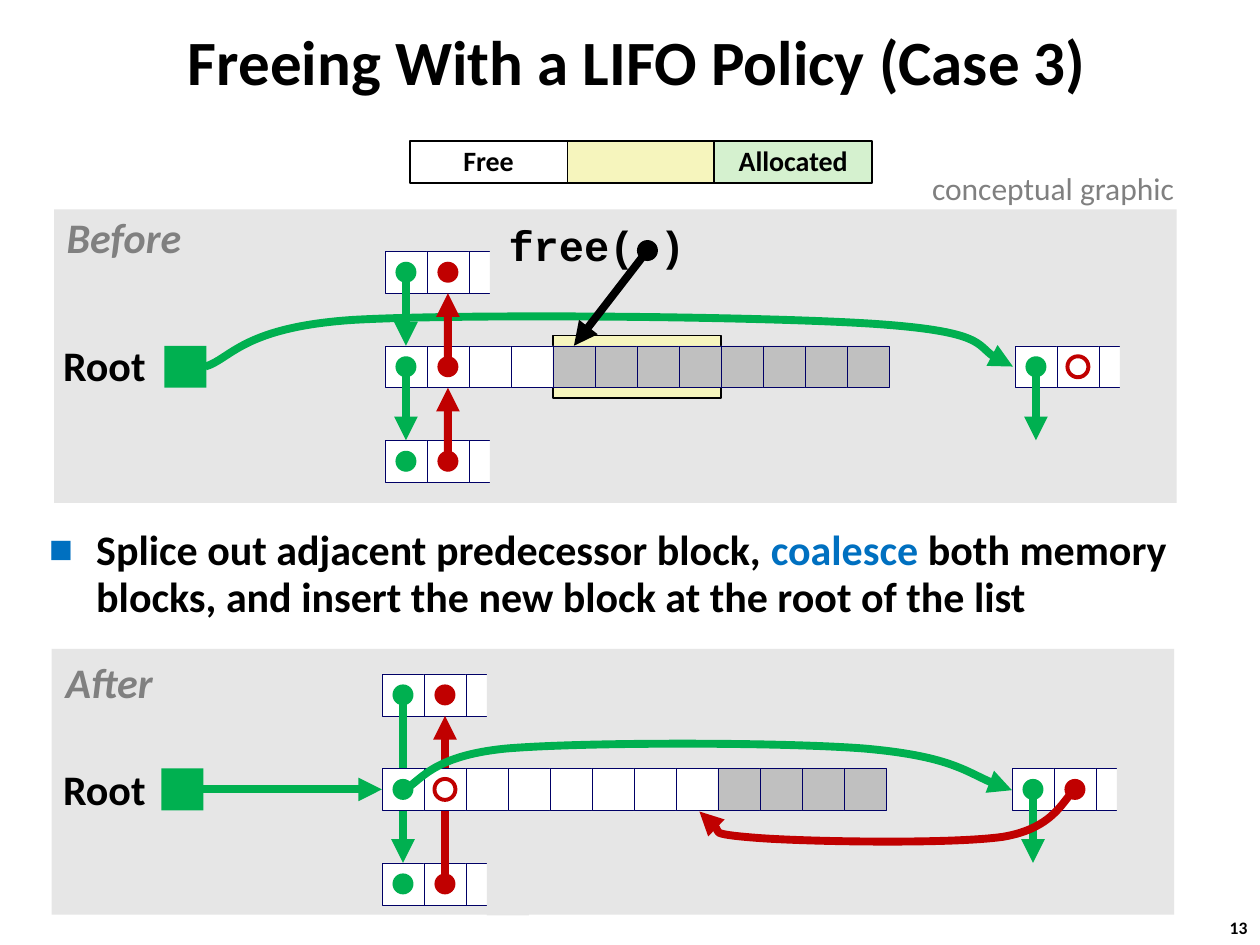
"""Build a slide on freeing a block with a LIFO free list, before and after."""
from lxml.etree import SubElement
from pptx import Presentation
from pptx.dml.color import RGBColor
from pptx.enum.shapes import MSO_CONNECTOR, MSO_SHAPE
from pptx.enum.text import MSO_ANCHOR, PP_ALIGN
from pptx.oxml.ns import qn
from pptx.util import Cm, Pt

hue = RGBColor.from_string
GREEN, RED, BLACK, WHITE = "00B050", "C00000", "000000", "FFFFFF"
GREY, PALE, BLUE, CREAM = "808080", "E6E6E6", "0070C0", "F6F5BD"
CELL = 2.54 / 3
STEP = CELL * 2.25

deck = Presentation()
deck.slide_width, deck.slide_height = Cm(25.4), Cm(19.05)
slide = deck.slides.add_slide(deck.slide_layouts[6])
shapes = slide.shapes


def box(x, y, w, h, fill=None, line=None, width=0.25, kind=MSO_SHAPE.RECTANGLE):
    shape = shapes.add_shape(kind, Cm(x), Cm(y), Cm(w), Cm(h))
    shape.shadow.inherit = False
    if fill:
        shape.fill.solid()
        shape.fill.fore_color.rgb = hue(fill)
    else:
        shape.fill.background()
    if line:
        shape.line.color.rgb = hue(line)
        shape.line.width = Pt(width)
    else:
        shape.line.fill.background()
    return shape


def text(shape, words, size=24, color=BLACK, accent=BLUE, bold=True, italic=False,
         font="Calibri", align=PP_ALIGN.CENTER, anchor=MSO_ANCHOR.TOP,
         space=0.9, pad=0.13, wrap=False):
    frame = shape.text_frame
    frame.word_wrap, frame.vertical_anchor = wrap, anchor
    frame.margin_left = frame.margin_right = Cm(pad)
    frame.margin_top = frame.margin_bottom = Cm(0.13)
    para = frame.paragraphs[0]
    para.alignment, para.line_spacing = align, space
    for i, part in enumerate(words.split("|")):
        run = para.add_run()
        run.text = part
        run.font.name, run.font.size = font, Pt(size)
        run.font.bold, run.font.italic = bold, italic
        run.font.color.rgb = hue(accent if i % 2 else color)
    return para


# Columns and rows count from the first cell of the middle strip.
before = [
    ("patch", CREAM, 4, 4),
    ("curve", GREEN, [(4.14, 7.39), (4.65, 7.24), (4.88, 6.6), (7.11, 6.45), (9.37, 6.32),
                      (15.39, 6.38), (17.63, 6.53), (19.84, 6.68), (19.84, 7.21), (20.42, 7.39)]),
    ("strip", 0, 0, 12, 4), ("strip", 0, -1, 3, 3), ("strip", 0, 1, 3, 3), ("strip", 15, 0, 3, 3),
    ("arrow", GREEN, 0, 0, 0, 1, 0), ("arrow", GREEN, 0, -1, 0, 0, 0),
    ("arrow", RED, 1, 1, 1, 0, 2), ("arrow", RED, 1, 0, 1, -1, 2),
    ("arrow", GREEN, 15, 0, 15, 1, 0), ("arrow", BLACK, 5.75, -1.23, 4, 0, 0),
    ("dot", GREEN, 0, 0), ("dot", GREEN, 0, -1), ("dot", GREEN, 0, 1), ("dot", GREEN, 15, 0),
    ("dot", RED, 1, 0), ("dot", RED, 1, -1), ("dot", RED, 1, 1),
    ("ring", RED, 16, 0), ("dot", BLACK, 5.75, -1.23),
]
after = [
    ("strip", 0, 1, 3, 3), ("strip", 0, -1, 3, 3),
    ("arrow", RED, 1, 1, 1, -1, 2), ("arrow", GREEN, 0, -1, 0, 1, 0),
    ("strip", 0, 0, 12, 8), ("strip", 15, 0, 3, 3),
    ("arrow", GREEN, 15, 0, 15, 1, 0), ("arrow", GREEN, -5.25, 0, 0, 0, 1),
    ("dot", GREEN, 0, 0), ("dot", GREEN, 0, -1), ("dot", GREEN, 0, 1), ("dot", GREEN, 15, 0),
    ("dot", RED, 1, -1), ("dot", RED, 1, 1), ("dot", RED, 16, 0), ("ring", RED, 1, 0),
    ("curve", GREEN, [(8.13, 15.93), (8.48, 15.77), (8.66, 15.24), (10.21, 15.09), (11.76, 14.96),
                      (15.72, 14.96), (17.42, 15.09), (19.13, 15.24), (19.79, 15.75), (20.4, 15.93)]),
    ("curve", RED, [(21.67, 15.93), (21.44, 16.08), (21.29, 16.69), (20.22, 16.87), (19.15, 17.02),
                    (16.26, 16.97), (15.24, 16.89), (14.22, 16.81), (14.33, 16.48), (14.1, 16.36)]),
]

for left, top, tall, x0, y0, items in [(1.09, 4.22, 5.92, 7.76, 6.97, before),
                                       (1.04, 13.08, 5.36, 7.7, 15.49, after)]:
    box(left, top, 22.63, tall, PALE)
    box(x0 - 5.25 * CELL, y0, CELL, CELL, GREEN)
    spots = {}
    for kind, *rest in items:
        if kind == "patch":
            fill, col, count = rest
            box(x0 + col * CELL, y0 - CELL / 4, count * CELL, CELL * 1.5, fill, BLACK, 0.75)
        elif kind == "strip":
            col, row, count, free = rest
            x, y = x0 + col * CELL, y0 + row * STEP
            for i in range(count):
                fill = WHITE if i < free else "C0C0C0"
                spots[col + i, row] = box(x + i * CELL, y, CELL, CELL, fill, "000066")
            if count == 3:
                box(x + 2.5 * CELL, y - CELL / 4, CELL, CELL * 1.5, PALE)
        elif kind in ("dot", "ring"):
            color, col, row = rest
            style = {"fill": color} if kind == "dot" else {"line": color, "width": 2.25}
            box(x0 + (col + 0.25) * CELL, y0 + row * STEP + CELL / 4, CELL / 2, CELL / 2,
                kind=MSO_SHAPE.OVAL, **style)
        else:
            color = rest[0]
            if kind == "arrow":
                col, row, goal, level, side = rest[1:]
                dx, dy = [(0.5, 0), (0, 0.5), (0.5, 1)][side]
                mark = shapes.add_connector(
                    MSO_CONNECTOR.STRAIGHT,
                    Cm(x0 + (col + 0.5) * CELL), Cm(y0 + row * STEP + CELL / 2),
                    Cm(x0 + (goal + dx) * CELL), Cm(y0 + level * STEP + dy * CELL))
                if (goal, level) in spots:
                    mark.end_connect(spots[goal, level], side)
            else:
                points = [(Cm(x), Cm(y)) for x, y in rest[1]]
                form = shapes.build_freeform(*points[0])
                form.add_line_segments(points[1:], close=False)
                mark = form.convert_to_shape()
                mark.fill.background()
                track = next(mark.element.iter(qn("a:path")))
                legs = track.findall(qn("a:lnTo"))
                for i in range(0, len(legs), 3):
                    bend = SubElement(track, qn("a:cubicBezTo"))
                    for leg in legs[i:i + 3]:
                        bend.append(leg[0])
                        track.remove(leg)
            mark.line.color.rgb = hue(color)
            mark.line.width = Pt(4.5)
            props = mark.element.spPr
            SubElement(props.find(qn("a:ln")), qn("a:tailEnd"), type="triangle")
            SubElement(props, qn("a:effectLst"))

for x, fill, words in [(11.25, CREAM, ""), (14.4, "D5F1CF", "Allocated"), (8.26, WHITE, "Free")]:
    part = box(x, 2.84, 3.18, CELL, fill, BLACK, 1)
    if words:
        text(part, words, size=16, anchor=MSO_ANCHOR.MIDDLE, space=0.98, pad=0.25)

label = {"color": GREY, "italic": True}
plain = {"align": PP_ALIGN.LEFT, "space": 1.0, "pad": 0.25}
for words, x, y, w, h, style in [
    ("Freeing With a LIFO Policy (Case 3)", 0.74, 0.23, 24.21, 2.18,
     {"size": 36, "anchor": MSO_ANCHOR.MIDDLE, "space": 0.87, "pad": 0.25, "wrap": True}),
    ("free( )", 10.11, 4.42, 3.84, 1.19, {"font": "Courier New"}),
    ("Root", 1.14, 6.83, 1.93, 1.19, {}),
    ("Before", 1.19, 4.24, 2.62, 1.19, label),
    ("Root", 1.14, 15.37, 1.93, 1.19, {}),
    ("After", 1.17, 13.21, 2.06, 1.19, label),
    ("conceptual graphic", 18.54, 3.28, 5.51, 1.02,
     {**plain, "size": 18, "color": GREY, "bold": False}),
    ("13", 24.54, 18.36, 0.94, 0.69, {**plain, "size": 10}),
]:
    text(shapes.add_textbox(Cm(x), Cm(y), Cm(w), Cm(h)), words, **style)

body = shapes.add_textbox(Cm(0.74), Cm(10.49), Cm(23.09), Cm(2.18))
para = text(body, "Splice out adjacent predecessor block, |coalesce| both memory blocks, "
            "and insert the new block at the root of the list",
            align=PP_ALIGN.LEFT, space=0.95, pad=0.25, wrap=True)
props = para._p.get_or_add_pPr()
props.set("marL", str(Cm(0.95)))
props.set("indent", str(Cm(-0.95)))
SubElement(SubElement(props, qn("a:buClr")), qn("a:srgbClr"), val=BLUE)
SubElement(props, qn("a:buSzPct"), val="60000")
SubElement(props, qn("a:buFont"), typeface="Calibri")
SubElement(props, qn("a:buChar"), char="■")

deck.save("out.pptx")
